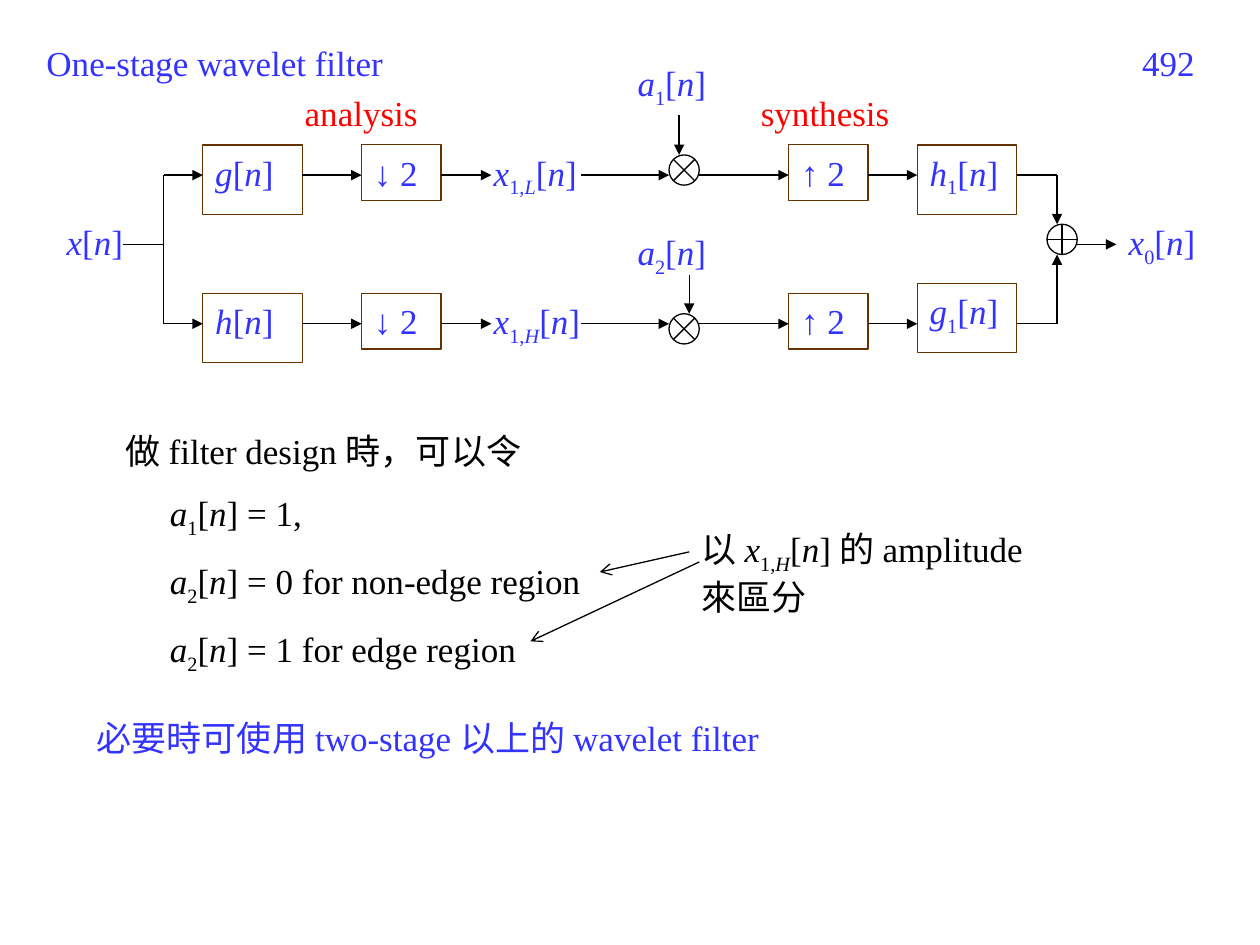
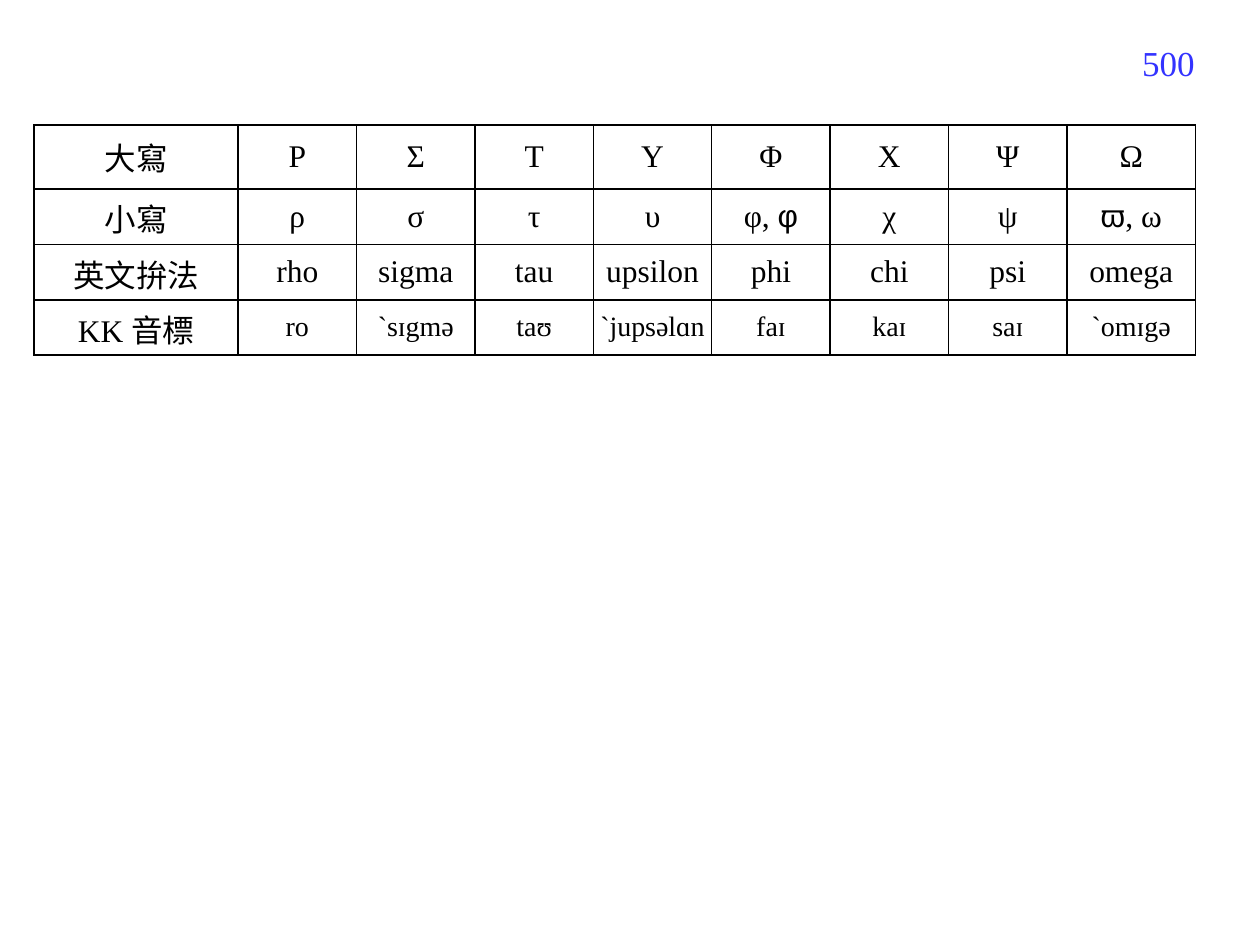
"""Builds two lecture slides: a one-stage wavelet filter and a Greek letter table."""
from lxml import etree
from pptx import Presentation
from pptx.dml.color import RGBColor
from pptx.enum.shapes import MSO_CONNECTOR, MSO_SHAPE
from pptx.enum.text import MSO_ANCHOR, PP_ALIGN
from pptx.oxml.ns import qn
from pptx.util import Inches, Pt

RECT = MSO_SHAPE.RECTANGLE
MULTIPLY = MSO_SHAPE.FLOWCHART_SUMMING_JUNCTION
ADD = MSO_SHAPE.FLOWCHART_OR
STRAIGHT = MSO_CONNECTOR.STRAIGHT
TOP, MIDDLE = MSO_ANCHOR.TOP, MSO_ANCHOR.MIDDLE
LEFT, CENTER, RIGHT = PP_ALIGN.LEFT, PP_ALIGN.CENTER, PP_ALIGN.RIGHT

COLORS = {"blue": "3333FF", "red": "FF0000", "black": "000000", "brown": "663300"}
SERIF, SANS = "Times New Roman", "Arial"
RUN_STYLES = {
    "/": {"italic": True},
    "_": {"sub": True},
    "~": {"italic": True, "sub": True},
    "@": {"font": SANS},
}


def signal(letter, index="", band=""):
    """Marks up a sequence such as x1,L[n], with runs split by bars."""
    parts = ["/" + letter, "_" + index if index else "", "~" + band if band else "", "[", "/n", "]"]
    return "|".join(part for part in parts if part)


BRANCHES = [
    {"top": 1.15, "analysis": signal("g"), "band": signal("x", "1,", "L"), "gain": signal("a", "1"),
     "synthesis": signal("h", "1"), "synthesis_top": 1.15,
     "gain_top": 0.44, "gain_arrow": (5.39, 0.91), "multiply_top": 1.23, "add_edge": 1.78},
    {"top": 2.33, "analysis": signal("h"), "band": signal("x", "1,", "H"), "gain": signal("a", "2"),
     "synthesis": signal("g", "1"), "synthesis_top": 2.25,
     "gain_top": 1.78, "gain_arrow": (5.47, 2.18), "multiply_top": 2.49, "add_edge": 2.02},
]
LABELS = [
    ("One-stage wavelet filter", (0.27, 0.28, 3.78, 0.44), "blue"),
    ("analysis", (2.32, 0.68, 1.42, 0.43), "red"),
    ("synthesis", (5.94, 0.68, 1.42, 0.43), "red"),
    (signal("x"), (0.43, 1.7, 1.02, 0.43), "blue"),
    (signal("x", "0"), (8.86, 1.7, 0.75, 0.43), "blue"),
    ("必要時可使用 two-stage 以上的 wavelet filter", (0.67, 5.64, 6.93, 0.44), "blue"),
    ("以 |" + signal("x", "1,", "H") + "| 的 amplitude 來區分", (5.47, 4.14, 2.99, 0.77), "black"),
]
DESIGN = [
    "做 filter design 時，可以令",
    signal("a", "1") + "| = 1,",
    signal("a", "2") + "| = 0 for non-edge region",
    signal("a", "2") + "| = 1 for edge region",
]
NOTE_ARROWS = [((5.47, 4.38), (4.76, 4.54)), ((5.55, 4.46), (4.21, 5.09))]
LETTERS = [
    ["大寫", "Ρ", "Σ", "Τ", "Υ", "Φ", "Χ", "Ψ", "Ω"],
    ["小寫", "ρ", "σ", "τ", "υ", "φ, |@φ", "χ", "ψ", "@ϖ|, ω"],
    ["英文拚法", "rho", "sigma", "tau", "upsilon", "phi", "chi", "psi", "omega"],
    ["KK 音標", "ro", "ˋsɪgmə", "taʊ", "ˋjupsəlɑn", "faɪ", "kaɪ", "saɪ", "ˋomɪgə"],
]
COLUMN_WIDTHS = [1.62] + [0.94] * 7 + [1.02]
ROW_HEIGHTS = [0.51, 0.44, 0.44, 0.44]

AXIS = 0.24
INPUT_X, FORK_X, ANALYSIS_X, DOWN_X, BAND_X = 0.98, 1.3, 1.61, 2.87, 3.9
BAND_END, MULTIPLY_X, UP_X, SYNTHESIS_X = 4.61, 5.31, 6.26, 7.28
JOIN_X, ADD_X, OUTPUT_X, MAIN_Y = 8.39, 8.31, 8.86, 1.94
FILTER_W, FILTER_H, RATE_W, RATE_H, NODE = 0.79, 0.55, 0.63, 0.44, 0.24


def write(frame, text, size=20, color="blue", align=LEFT, gap=11.5, indent=0):
    """Fills a text frame with marked-up paragraphs; the indent starts at the second."""
    frame.word_wrap = True
    paragraphs = [text] if isinstance(text, str) else text
    for number, line in enumerate(paragraphs):
        paragraph = frame.add_paragraph() if number else frame.paragraphs[0]
        paragraph.alignment = align
        if number:
            paragraph.space_before = Pt(gap)
            paragraph._p.get_or_add_pPr().set("marL", str(Inches(indent)))
        for part in line.split("|"):
            style = RUN_STYLES.get(part[0], {})
            run = paragraph.add_run()
            run.text = part[1:] if style else part
            run.font.size = Pt(size)
            run.font.name = style.get("font", SERIF)
            run.font.italic = style.get("italic", False)
            run.font.color.rgb = RGBColor.from_string(COLORS[color])
            if style.get("sub"):
                run.font._element.set("baseline", "-25000")


def add_text(slide, text, box, **style):
    label = slide.shapes.add_textbox(*map(Inches, box))
    write(label.text_frame, text, **style)
    return label


def add_block(slide, kind, box, text=None, color="black"):
    block = slide.shapes.add_shape(kind, *map(Inches, box))
    block.shadow.inherit = False
    block.fill.background()
    block.line.color.rgb = RGBColor.from_string(COLORS[color])
    block.line.width = Pt(0.75)
    if text:
        block.text_frame.vertical_anchor = TOP
        write(block.text_frame, text)


def add_line(slide, start, end, head=None):
    line = slide.shapes.add_connector(STRAIGHT, *map(Inches, start + end))
    line.line.color.rgb = RGBColor.from_string(COLORS["black"])
    line.line.width = Pt(0.75)
    if head:
        etree.SubElement(line.line._get_or_add_ln(), qn("a:tailEnd"), type=head)
    etree.SubElement(line._element.spPr, qn("a:effectLst"))


def add_branch(slide, branch):
    top = branch["top"]
    y = top + AXIS
    for x, box_top, text in ((ANALYSIS_X, top, branch["analysis"]),
                             (SYNTHESIS_X, branch["synthesis_top"], branch["synthesis"])):
        add_block(slide, RECT, (x, box_top, FILTER_W, FILTER_H), text, "brown")
    for x, text in ((DOWN_X, "↓ 2"), (UP_X, "↑ 2")):
        add_block(slide, RECT, (x, top, RATE_W, RATE_H), text, "brown")
    add_text(slide, branch["band"], (3.82, top, 1.42, 0.43))
    gain = add_text(slide, branch["gain"], (5, branch["gain_top"], 0.95, 0.43))
    gain.text_frame.margin_left = gain.text_frame.margin_right = Inches(0.06)
    add_block(slide, MULTIPLY, (MULTIPLY_X, branch["multiply_top"], NODE, NODE))

    for start, end in ((FORK_X, ANALYSIS_X), (ANALYSIS_X + FILTER_W, DOWN_X),
                       (DOWN_X + RATE_W, BAND_X), (BAND_END, MULTIPLY_X),
                       (MULTIPLY_X + NODE, UP_X), (UP_X + RATE_W, SYNTHESIS_X)):
        add_line(slide, (start, y), (end, y), "triangle")
    add_line(slide, (SYNTHESIS_X + FILTER_W, y), (JOIN_X, y))
    add_line(slide, (JOIN_X, y), (JOIN_X, branch["add_edge"]), "triangle")
    add_line(slide, branch["gain_arrow"], (branch["gain_arrow"][0], branch["multiply_top"]), "triangle")


def add_border(cell):
    properties = cell._tc.get_or_add_tcPr()
    for position, side in enumerate(("a:lnL", "a:lnR", "a:lnT", "a:lnB")):
        edge = etree.Element(qn(side), w=str(Pt(1)))
        fill = etree.SubElement(edge, qn("a:solidFill"))
        etree.SubElement(fill, qn("a:srgbClr"), val=COLORS["black"])
        properties.insert(position, edge)


def add_letter_table(slide):
    table = slide.shapes.add_table(
        len(LETTERS), len(COLUMN_WIDTHS), Inches(0.27), Inches(0.99),
        Inches(sum(COLUMN_WIDTHS)), Inches(sum(ROW_HEIGHTS))).table
    table.first_row = table.horz_banding = False
    for column, width in zip(table.columns, COLUMN_WIDTHS):
        column.width = Inches(width)
    for row, height in zip(table.rows, ROW_HEIGHTS):
        row.height = Inches(height)
    for r, letters in enumerate(LETTERS):
        for c, text in enumerate(letters):
            cell = table.cell(r, c)
            cell.fill.background()
            cell.vertical_anchor = MIDDLE
            cell.margin_left = cell.margin_right = Inches(0.02 if c else 0.1)
            phonetic = c and r == len(LETTERS) - 1
            write(cell.text_frame, text, size=16 if phonetic else 18, color="black", align=CENTER)
            add_border(cell)


def add_page(deck, number):
    slide = deck.slides.add_slide(deck.slide_layouts[6])
    add_text(slide, number, (8.7, 0.28, 0.88, 0.52), align=RIGHT)
    return slide


deck = Presentation()
deck.slide_width, deck.slide_height = Inches(10), Inches(7.5)

wavelet = add_page(deck, "492")
for text, box, color in LABELS:
    add_text(wavelet, text, box, color=color)
add_text(wavelet, DESIGN, (0.9, 3.36, 8.03, 1.93), color="black", indent=0.35)
add_line(wavelet, (INPUT_X, MAIN_Y), (FORK_X, MAIN_Y))
add_line(wavelet, *[(FORK_X, branch["top"] + AXIS) for branch in BRANCHES])
for branch in BRANCHES:
    add_branch(wavelet, branch)
add_block(wavelet, ADD, (ADD_X, 1.78, NODE, NODE))
add_line(wavelet, (ADD_X + NODE, MAIN_Y), (OUTPUT_X, MAIN_Y), "triangle")
for start, end in NOTE_ARROWS:
    add_line(wavelet, start, end, "arrow")

add_letter_table(add_page(deck, "500"))
deck.save("out.pptx")
